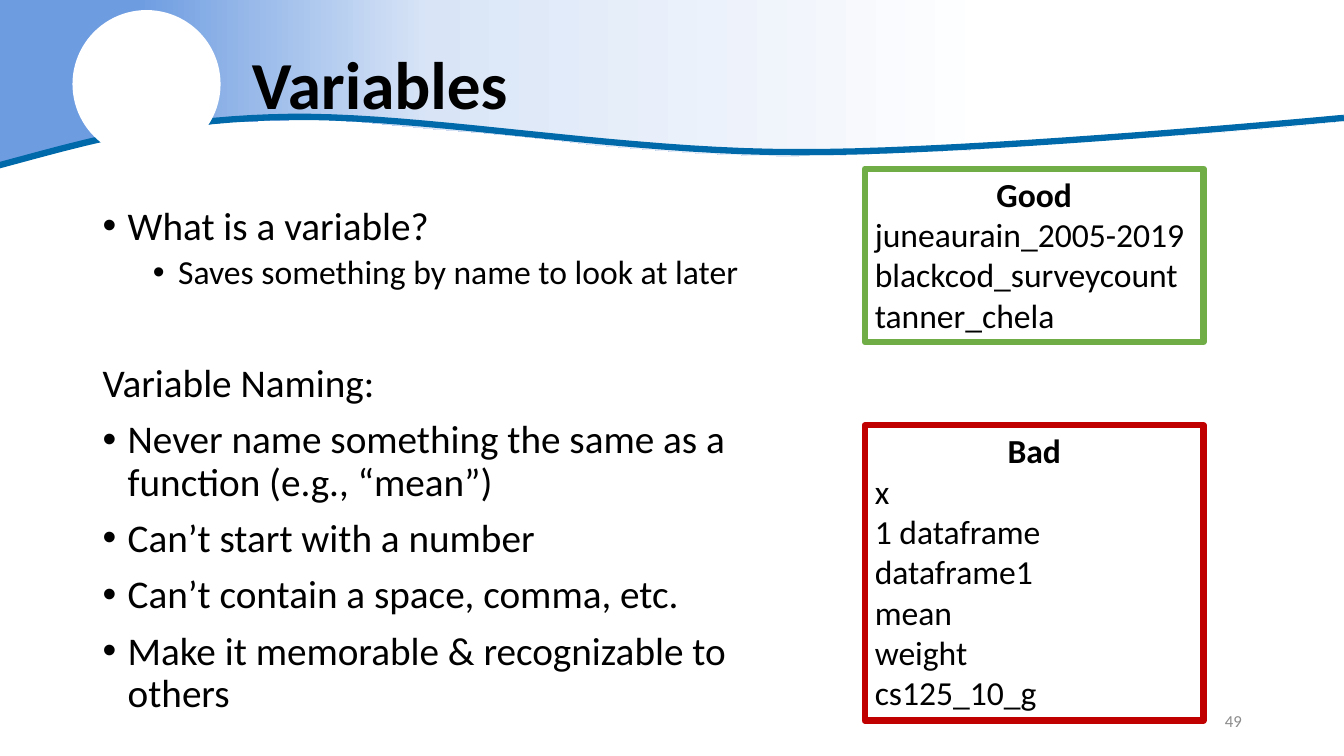
from lxml import etree
from pptx import Presentation
from pptx import util as u
from pptx.dml.color import RGBColor
from pptx.enum import shapes, text
from pptx.oxml.ns import qn

Pt = u.Pt
HUES = {"sky": "6D9CE1", "pale": "D9E5F7", "white": "FFFFFF", "wave": "0069A9",
        "ink": "000000", "gray": "8C8C8C", "good": "70AD47", "bad": "C00000"}
EDGE = [(960, 86.4), (919, 90.7), (856, 95.8), (800, 99.4), (739, 103),
        (692, 107.2), (650, 108.7), (600, 110.9), (561, 111.6), (534, 110.9),
        (498, 109.4), (461, 106.6), (426, 103.7), (391, 99.4), (346, 95),
        (310, 92.2), (258, 87.1), (235, 85.7), (207, 85.7), (164, 87.1),
        (137, 90), (98, 95), (62, 102.2), (32, 108.7), (0, 118.8)]
WAVE = [[(-0.7, 118.1), (54, 103.7), (111.6, 85), (206.6, 83.5)],
        [(206.6, 83.5), (301.7, 82.1), (442.8, 108.7), (568.8, 108.7)],
        [(568.8, 108.7), (694, 109.4), (960, 84.2), (960, 84.2)]]
NOTES = [("What is a variable?", 0), ("Saves something by name to look at later", 1),
         ("Variable Naming:", None),
         ("Never name something the same as a function (e.g., “mean”)", 0),
         ("Can’t start with a number", 0), ("Can’t contain a space, comma, etc.", 0),
         ("Make it memorable & recognizable to others", 0)]
GOOD = ["juneaurain_2005-2019", "blackcod_surveycount", "tanner_chela"]
BAD = ["x", "1 dataframe", "dataframe1", "mean", "weight", "cs125_10_g"]


def hue(name):
    return RGBColor.from_string(HUES[name])


def place(box):
    return [Pt(v) for v in box]


def write(frame, words, first=False, size=24, bold=False, color="ink",
          align=text.PP_ALIGN.LEFT, line=1.0, before=0, bullet=False, left=0):
    para = frame.paragraphs[0] if first else frame.add_paragraph()
    props = para._p.get_or_add_pPr()
    if bullet:
        props.set("marL", str(Pt(left)))
        props.set("indent", str(Pt(-18)))
        etree.SubElement(props, qn("a:buFont")).set("typeface", "Arial")
        etree.SubElement(props, qn("a:buChar")).set("char", "•")
    para.alignment = align
    para.line_spacing = line
    para.space_before = Pt(0 if first else before)
    run = para.add_run()
    run.text = words
    font = run.font
    font.name, font.size, font.bold = "Calibri", Pt(size), bold
    font.color.rgb = hue(color)


def frame(slide, box, anchor=text.MSO_ANCHOR.TOP):
    body = slide.shapes.add_textbox(*place(box)).text_frame
    body.word_wrap = True
    body.vertical_anchor = anchor
    return body


def trace(slide, box, points, close):
    x, y = box[:2]
    spots = [(Pt(x + a), Pt(y + b)) for a, b in points]
    pen = slide.shapes.build_freeform(*spots[0], scale=1.0)
    pen.add_line_segments(spots[1:], close=close)
    shape = pen.convert_to_shape()
    shape.shadow.inherit = False
    return shape


def curve(knots, steps=20):
    for i in range(steps + 1):
        t = i / steps
        mix = ((1 - t) ** 3, 3 * t * (1 - t) ** 2, 3 * t * t * (1 - t), t ** 3)
        yield tuple(sum(m * k[axis] for m, k in zip(mix, knots)) for axis in (0, 1))


def fade(shape, stops):
    shape.fill.gradient()
    shape.fill.gradient_angle = 0
    inner = shape._element.spPr.find(qn("a:gradFill")).find(qn("a:gsLst"))
    for stop in list(inner):
        inner.remove(stop)
    for spot, name in stops:
        stop = etree.SubElement(inner, qn("a:gs"), pos=str(spot * 1000))
        etree.SubElement(stop, qn("a:srgbClr"), val=HUES[name])


def banner(slide, box):
    x, y, wide, _ = box
    sky = trace(slide, box, [(0, 0), (wide, 0)] + EDGE, True)
    fade(sky, [(10, "sky"), (32, "pale"), (74, "white")])
    sky.line.fill.background()
    points = [p for knots in WAVE for p in curve(knots)]
    wave = trace(slide, box, points, False)
    wave.fill.background()
    wave.line.color.rgb = hue("wave")
    wave.line.width = Pt(4.5)
    disc = slide.shapes.add_shape(shapes.MSO_SHAPE.OVAL,
                                  *place((x + 51.8, y + 7.2, 105.8, 105.8)))
    disc.shadow.inherit = False
    disc.fill.solid()
    disc.fill.fore_color.rgb = hue("white")
    disc.line.fill.background()
    title = frame(slide, (x + 172.8, y + 14.4, 721.4, 96.5), text.MSO_ANCHOR.MIDDLE)
    write(title, "Variables", first=True, size=48, bold=True, line=0.9)


def notes(slide, box):
    body = frame(slide, box)
    for i, (words, level) in enumerate(NOTES):
        sub = level == 1
        plain = level is None
        write(body, words, first=i == 0, size=24 if sub else 28, line=0.9,
              before=51 if plain else 5 if sub else 10,
              bullet=not plain, left=54 if sub else 18)


def card(slide, box, head, names, color):
    shape = slide.shapes.add_shape(shapes.MSO_SHAPE.RECTANGLE, *place(box))
    shape.shadow.inherit = False
    shape.fill.background()
    shape.line.color.rgb = hue(color)
    shape.line.width = Pt(4.5)
    body = shape.text_frame
    body.word_wrap = True
    body.vertical_anchor = text.MSO_ANCHOR.TOP
    write(body, head, first=True, bold=True, align=text.PP_ALIGN.CENTER)
    for name in names:
        write(body, name)


def folio(slide, box):
    body = frame(slide, box, text.MSO_ANCHOR.MIDDLE)
    write(body, "49", first=True, size=12, color="gray", align=text.PP_ALIGN.RIGHT)


def main():
    deck = Presentation()
    deck.slide_width, deck.slide_height = Pt(960), Pt(540)
    slide = deck.slides.add_slide(deck.slide_layouts[6])
    banner(slide, (0, 0, 960, 119))
    notes(slide, (66.2, 144, 486.7, 385.2))
    folio(slide, (678.2, 500.4, 216, 28.8))
    card(slide, (617.8, 120.5, 241.9, 123.8), "Good", GOOD, "good")
    card(slide, (617.8, 303.8, 241.9, 211), "Bad", BAD, "bad")
    deck.save("out.pptx")


if __name__ == "__main__":
    main()
